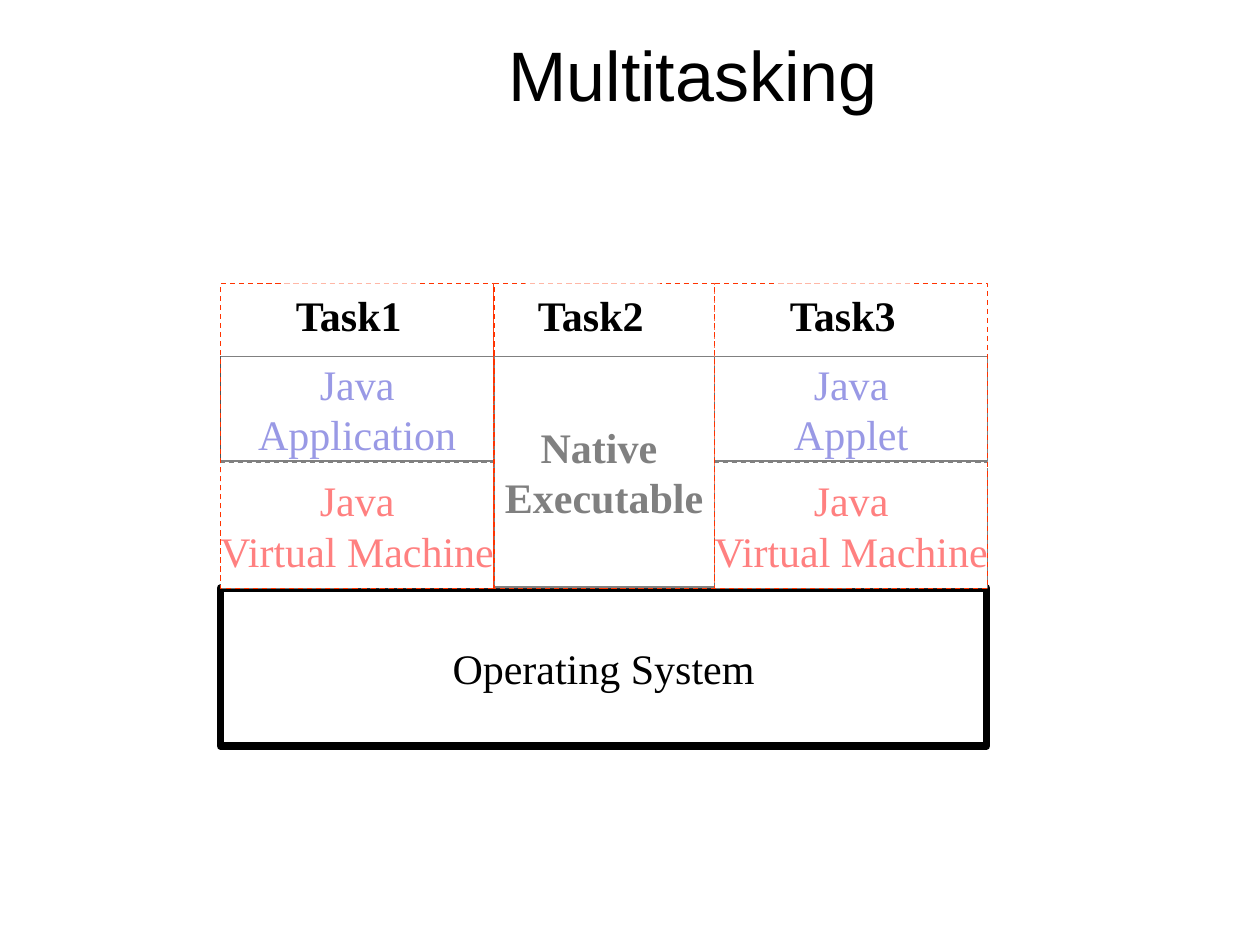
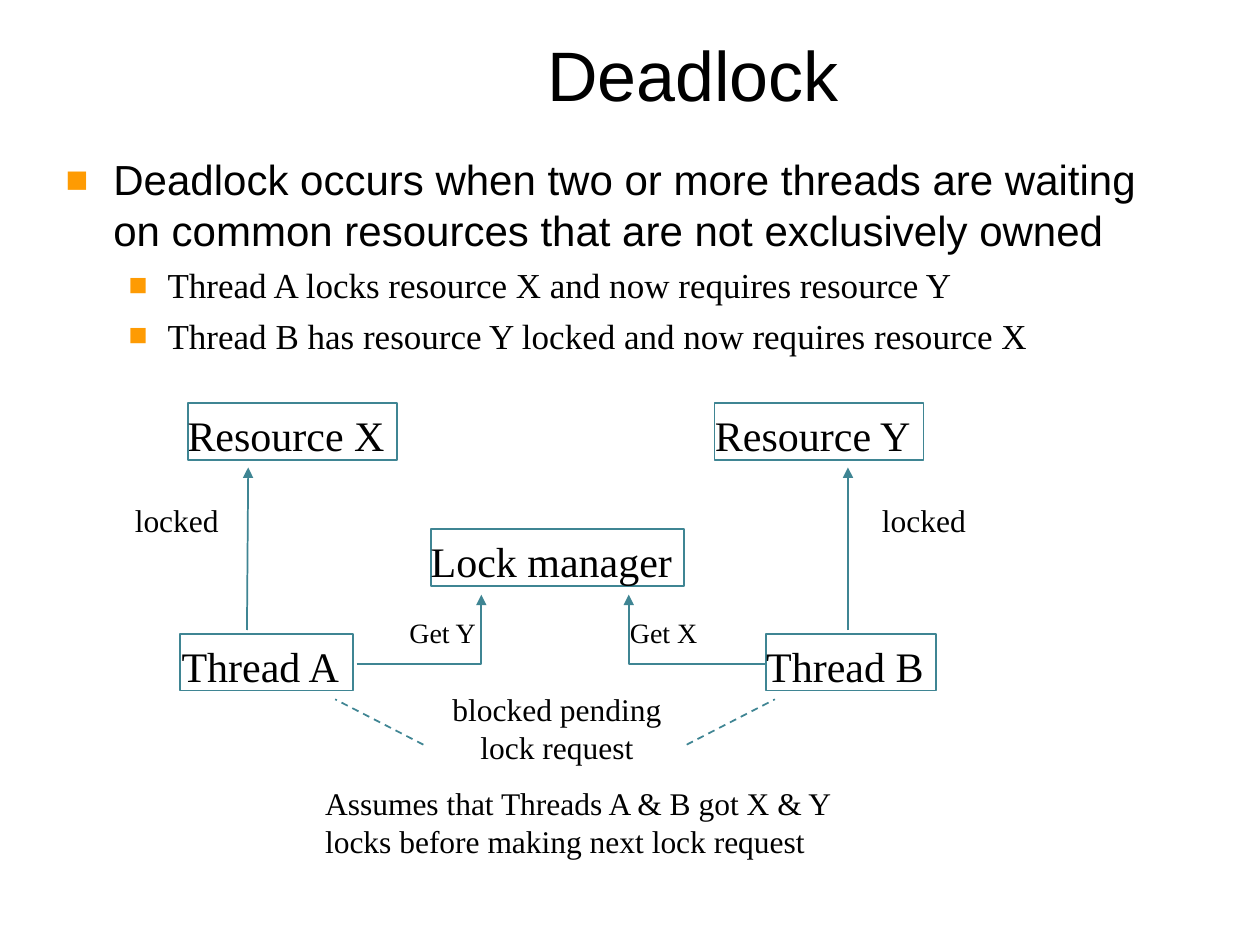
from dataclasses import dataclass

from pptx import Presentation
from pptx.dml.color import RGBColor
from pptx.dml.line import LineFormat
from pptx.enum.dml import MSO_LINE
from pptx.enum.shapes import MSO_CONNECTOR, MSO_SHAPE
from pptx.enum.text import MSO_ANCHOR, MSO_AUTO_SIZE, PP_ALIGN
from pptx.oxml.ns import qn
from pptx.shapes.autoshape import Shape
from pptx.slide import Slide
from pptx.text.text import TextFrame, _Paragraph
from pptx.util import Inches, Pt
from lxml.etree import SubElement

BLACK = "000000"
WHITE = "FFFFFF"
BULLET_ORANGE = "FE9B03"
TASK_RED = "FF3300"
MACHINE_RED = "FF0000"
PROGRAM_BLUE = "3333CC"
TEAL = "3F8593"
SANS = "Arial"
SERIF = "Times New Roman"

STANDARD_INSETS = (0.1, 0.05, 0.1, 0.05)
DIAGRAM_INSETS = (0, 0.05, 0.1, 0)


@dataclass(frozen=True)
class Box:
    left: float
    top: float
    width: float
    height: float
    lines: tuple[str, ...] = ()
    colour: str = BLACK
    bold: bool = False
    fill: str | None = WHITE
    opacity: int = 100
    outline: str | None = BLACK
    outline_width: float = 0.75
    dashed: bool = False
    alignment: PP_ALIGN = PP_ALIGN.CENTER
    insets: tuple[float, ...] = STANDARD_INSETS


@dataclass(frozen=True)
class Label:
    left: float
    top: float
    width: float
    height: float
    lines: tuple[str, ...]
    size: int = 18
    alignment: PP_ALIGN = PP_ALIGN.LEFT


@dataclass(frozen=True)
class Line:
    start: tuple[float, float]
    end: tuple[float, float]
    dashed: bool = False


@dataclass(frozen=True)
class Task:
    name: str
    left: float
    width: float
    label_left: float


@dataclass(frozen=True)
class Bullet:
    text: str
    level: int
    size: int
    font: str
    space_before: int
    margin: float
    hanging: float


def rgb(colour: str) -> RGBColor:
    return RGBColor.from_string(colour)


def add_run(paragraph: _Paragraph, text: str, size: int, font: str = SERIF,
            colour: str = BLACK, bold: bool = False) -> None:
    run = paragraph.add_run()
    run.text = text
    run.font.size = Pt(size)
    run.font.name = font
    run.font.bold = bold
    run.font.color.rgb = rgb(colour)


def set_frame(frame: TextFrame, insets: tuple[float, ...], anchor: MSO_ANCHOR, wrap: bool) -> None:
    frame.margin_left, frame.margin_top, frame.margin_right, frame.margin_bottom = map(Inches, insets)
    frame.vertical_anchor = anchor
    frame.word_wrap = wrap
    frame.auto_size = MSO_AUTO_SIZE.NONE


def write_lines(frame: TextFrame, lines: tuple[str, ...], size: int, alignment: PP_ALIGN,
                colour: str = BLACK, bold: bool = False) -> None:
    for index, text in enumerate(lines):
        paragraph = frame.add_paragraph() if index else frame.paragraphs[0]
        paragraph.alignment = alignment
        add_run(paragraph, text, size, colour=colour, bold=bold)


def style_line(line: LineFormat, colour: str, width: float, dashed: bool = False) -> None:
    line.color.rgb = rgb(colour)
    line.width = Pt(width)
    if dashed:
        line.dash_style = MSO_LINE.DASH


def add_arrowhead(line_shape) -> None:
    outline = line_shape._element.spPr.find(qn("a:ln"))
    SubElement(outline, qn("a:tailEnd"), type="triangle")


def add_box(slide: Slide, box: Box) -> Shape:
    shape = slide.shapes.add_shape(MSO_SHAPE.RECTANGLE, Inches(box.left), Inches(box.top),
                                   Inches(box.width), Inches(box.height))
    shape.shadow.inherit = False
    if box.fill:
        shape.fill.solid()
        shape.fill.fore_color.rgb = rgb(box.fill)
        if box.opacity < 100:
            fill_colour = shape._element.spPr.find(qn("a:solidFill"))[0]
            SubElement(fill_colour, qn("a:alpha"), val=str(box.opacity * 1000))
    else:
        shape.fill.background()
    if box.outline:
        style_line(shape.line, box.outline, box.outline_width, box.dashed)
    else:
        shape.line.fill.background()
    set_frame(shape.text_frame, box.insets, MSO_ANCHOR.MIDDLE, wrap=False)
    write_lines(shape.text_frame, box.lines, 24, box.alignment, box.colour, box.bold)
    return shape


def add_label(slide: Slide, label: Label) -> None:
    text_box = slide.shapes.add_textbox(Inches(label.left), Inches(label.top),
                                        Inches(label.width), Inches(label.height))
    set_frame(text_box.text_frame, DIAGRAM_INSETS, MSO_ANCHOR.BOTTOM, wrap=False)
    write_lines(text_box.text_frame, label.lines, label.size, label.alignment)


def add_line(slide: Slide, line: Line) -> None:
    connector = slide.shapes.add_connector(MSO_CONNECTOR.STRAIGHT,
                                           *map(Inches, line.start + line.end))
    style_line(connector.line, TEAL, 1, line.dashed)
    if not line.dashed:
        add_arrowhead(connector)
    SubElement(connector._element.spPr, qn("a:effectLst"))


def add_request_arrow(slide: Slide, start_x: float, end_x: float) -> None:
    bottom, top = Inches(5.27), Inches(4.72)
    builder = slide.shapes.build_freeform(Inches(start_x), bottom)
    builder.add_line_segments([(Inches(end_x), bottom), (Inches(end_x), top)], close=False)
    arrow = builder.convert_to_shape()
    arrow.shadow.inherit = False
    arrow.fill.background()
    style_line(arrow.line, TEAL, 1)
    add_arrowhead(arrow)


def place(shape: Shape, left: float, top: float, width: float, height: float) -> None:
    shape.left, shape.top = Inches(left), Inches(top)
    shape.width, shape.height = Inches(width), Inches(height)


def add_titled_slide(presentation: Presentation, layout_name: str, title: str) -> Slide:
    slide = presentation.slides.add_slide(presentation.slide_layouts.get_by_name(layout_name))
    shape = slide.shapes.title
    place(shape, 1, 0.25, 9, 0.67)
    set_frame(shape.text_frame, STANDARD_INSETS, MSO_ANCHOR.MIDDLE, wrap=True)
    paragraph = shape.text_frame.paragraphs[0]
    paragraph.alignment = PP_ALIGN.CENTER
    add_run(paragraph, title, 40, SANS)
    return slide


def add_bullets(slide: Slide, bullets: list[Bullet]) -> None:
    body = slide.placeholders[1]
    place(body, 0.42, 1.17, 9.08, 6)
    frame = body.text_frame
    set_frame(frame, STANDARD_INSETS, MSO_ANCHOR.TOP, wrap=True)
    for index, bullet in enumerate(bullets):
        paragraph = frame.add_paragraph() if index else frame.paragraphs[0]
        paragraph.level = bullet.level
        paragraph.space_before = Pt(bullet.space_before)
        properties = paragraph._p.get_or_add_pPr()
        properties.set("marL", str(Inches(bullet.margin)))
        properties.set("indent", str(-Inches(bullet.hanging)))
        SubElement(SubElement(properties, qn("a:buClr")), qn("a:srgbClr"), val=BULLET_ORANGE)
        SubElement(properties, qn("a:buSzPct"), val="90000")
        SubElement(properties, qn("a:buFont"), typeface=SANS)
        SubElement(properties, qn("a:buChar"), char="■")
        add_run(paragraph, bullet.text, bullet.size, bullet.font)


def build_multitasking(presentation: Presentation) -> None:
    slide = add_titled_slide(presentation, "Title Only", "Multitasking")
    tasks = [
        Task("Task1", 1.75, 2.17, 2.25),
        Task("Task2", 3.92, 1.75, 4.17),
        Task("Task3", 5.67, 2.17, 6.17),
    ]
    first, native, last = tasks
    add_box(slide, Box(1.75, 4.67, 6.08, 1.25, ("Operating System",), outline_width=4.5))
    for task, program in ((last, "Applet"), (first, "Application")):
        add_box(slide, Box(task.left, 3.67, task.width, 1, ("Java", "Virtual Machine"),
                           MACHINE_RED, dashed=True))
        add_box(slide, Box(task.left, 2.83, task.width, 0.83, ("Java", program), PROGRAM_BLUE))
    add_box(slide, Box(native.left, 2.83, native.width, 1.83, ("Native ", "Executable"), bold=True))
    for task in tasks:
        add_box(slide, Box(task.left, 2.25, task.width, 2.42, opacity=50,
                           outline=TASK_RED, dashed=True))
        add_box(slide, Box(task.label_left, 2.25, 1.07, 0.5, (task.name,), bold=True,
                           outline=None, alignment=PP_ALIGN.LEFT))


def build_deadlock(presentation: Presentation) -> None:
    slide = add_titled_slide(presentation, "Title and Content", "Deadlock")
    add_bullets(slide, [
        Bullet("Deadlock occurs when two or more threads are waiting on common resources "
               "that are not exclusively owned", 0, 24, SANS, 6, 0.38, 0.38),
        *(Bullet(text, 1, 20, SERIF, 5, 0.81, 0.31) for text in (
            "Thread A locks resource X and now requires resource Y",
            "Thread B has resource Y locked and now requires resource X")),
    ])
    for name, left, top, width in (
        ("Resource X", 1.49, 3.2, 1.66),
        ("Resource Y", 5.67, 3.2, 1.66),
        ("Thread A", 1.43, 5.03, 1.37),
        ("Thread B", 6.08, 5.03, 1.35),
        ("Lock manager", 3.42, 4.2, 2.01),
    ):
        add_box(slide, Box(left, top, width, 0.45, (name,), fill=None, outline=TEAL,
                           outline_width=1, insets=DIAGRAM_INSETS))
    add_request_arrow(slide, 2.83, 3.82)
    add_request_arrow(slide, 6.08, 4.99)
    for line in (
        Line((1.96, 5), (1.97, 3.71)),
        Line((6.73, 5), (6.73, 3.71)),
        Line((3.36, 5.91), (2.66, 5.55), dashed=True),
        Line((5.45, 5.91), (6.15, 5.55), dashed=True),
    ):
        add_line(slide, line)
    for label in (
        Label(1.07, 3.93, 0.77, 0.35, ("locked",)),
        Label(7, 3.93, 0.77, 0.35, ("locked",)),
        Label(3.59, 5.43, 1.76, 0.65, ("blocked pending", "lock request"),
              alignment=PP_ALIGN.CENTER),
        Label(5, 4.83, 0.63, 0.32, ("Get X",), size=16),
        Label(3.25, 4.83, 0.63, 0.32, ("Get Y",), size=16),
        Label(2.58, 6.17, 4.22, 0.65, ("Assumes that Threads A & B got X & Y",
                                       "locks before making next lock request")),
    ):
        add_label(slide, label)


def main() -> None:
    presentation = Presentation()
    presentation.slide_width = Inches(10)
    presentation.slide_height = Inches(7.5)
    build_multitasking(presentation)
    build_deadlock(presentation)
    presentation.save("out.pptx")


if __name__ == "__main__":
    main()
